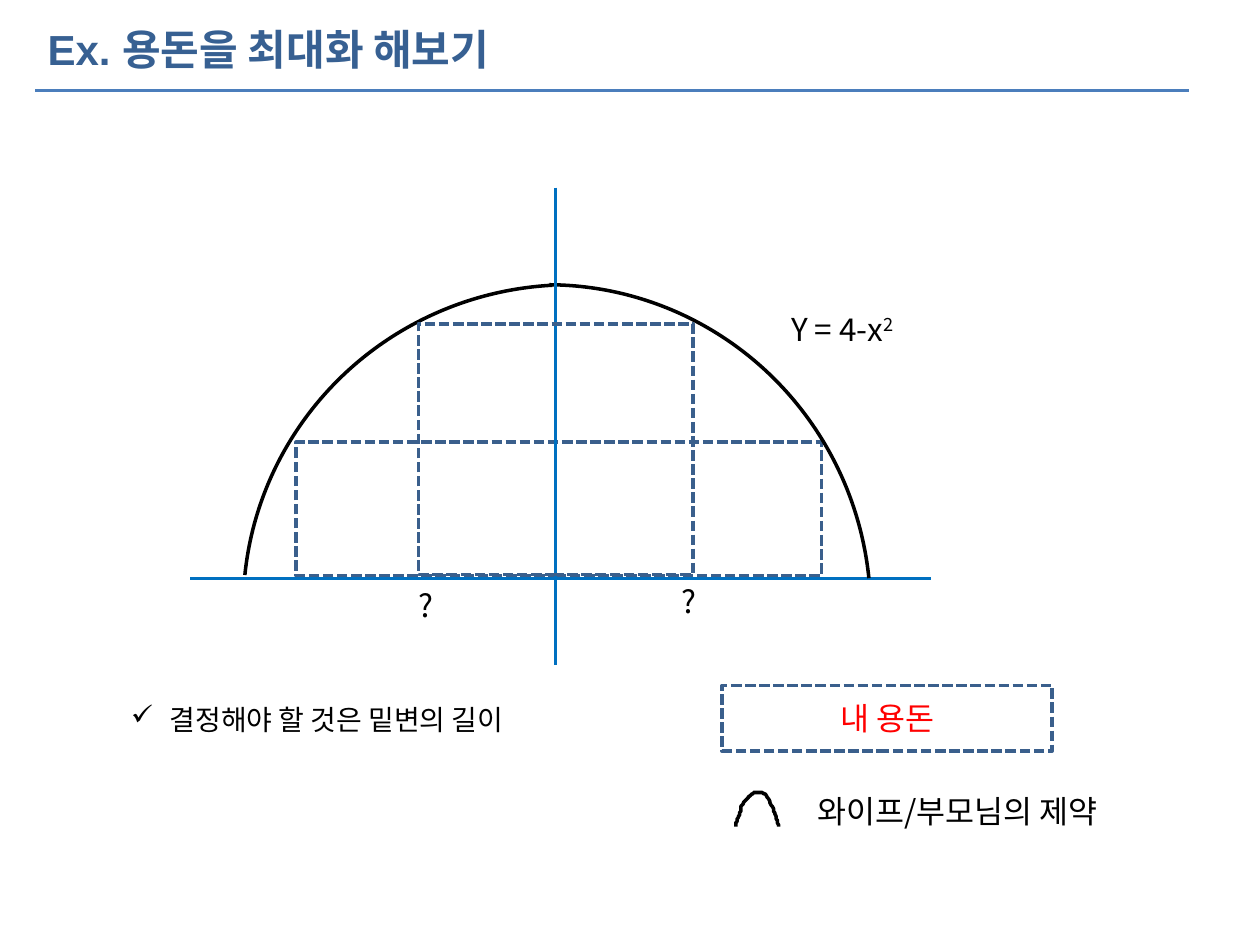
from pptx import Presentation
from pptx.dml.color import RGBColor
from pptx.enum.dml import MSO_LINE
from pptx.enum.shapes import MSO_CONNECTOR, MSO_SHAPE
from pptx.enum.text import MSO_ANCHOR, MSO_AUTO_SIZE, PP_ALIGN
from pptx.oxml.ns import qn
from pptx.util import Pt
from lxml import etree

PX = 9144
DASH = MSO_LINE.SQUARE_DOT
LINE = MSO_CONNECTOR.STRAIGHT
RECT, ARC = MSO_SHAPE.RECTANGLE, MSO_SHAPE.ARC
MID, CENTER = MSO_ANCHOR.MIDDLE, PP_ALIGN.CENTER
GROW = MSO_AUTO_SIZE.SHAPE_TO_FIT_TEXT
HEX = {"title": "376092", "rule": "4B7EBC", "dash": "3A5F8C",
       "axis": "0070C0", "ink": "000000", "red": "FF0000"}
SANS = "Noto Sans CJK KR"

RULE = (28, 72, 944, 72)
AXES = [(151, 459, 739, 459), (441, 149, 441, 528)]
WIDE, TALL = (235, 351, 417, 106), (332, 257, 218, 199)
LEGEND = (573, 544, 262, 52)
ARCS = [((178, 226, 513, 519), 0, (162.209, 212.424)),
        ((196, 223, 513, 519), 272.8, (163.791, 212.424))]
BUMP = [(584, 656), (584, 653), (585, 650), (586, 648), (587, 645),
        (588, 642), (589, 639), (591, 637), (591, 635), (593, 634),
        (594, 632), (596, 631), (597, 630), (599, 629), (599, 629),
        (601, 629), (602, 629), (605, 629), (607, 630), (609, 632),
        (611, 636), (612, 639), (614, 642), (615, 645), (616, 648),
        (617, 651), (618, 656), (618, 656)]
TITLE = ("Ex. 용돈을 최대화 해보기", (28, 16, 900, 46),
         {"size": Pt(24), "bold": True, "name": "Arial"}, "title")
BODY, SMALL = {"size": Pt(18), "name": SANS}, {"size": Pt(16), "name": SANS}
GOAL = "내 용돈"
LIMIT = ("와이프/부모님의 제약", (639, 624, 288, 40))
POINT = ("결정해야 할 것은 밑변의 길이", (94, 553, 402, 37))
CURVE = ("Y = 4-x", "2", (618, 241, 128, 40))
MARKS = [(322, 460, 32, 40), (531, 457, 32, 40)]

deck = Presentation()
deck.slide_width, deck.slide_height = 1000 * PX, 750 * PX
slide = deck.slides.add_slide(deck.slide_layouts[6])
shapes = slide.shapes


def emu(box):
    return [v * PX for v in box]


def tint(name):
    return RGBColor.from_string(HEX[name])


def style(line, color, width=2):
    line.color.rgb = tint(color)
    line.width = Pt(width)


def rule(ends, color, width=2):
    item = shapes.add_connector(LINE, *emu(ends))
    style(item.line, color, width)
    etree.SubElement(item._element.spPr, qn("a:effectLst"))


def bare(item, color):
    item.shadow.inherit = False
    item.fill.background()
    style(item.line, color)
    return item


def dashed(box):
    item = bare(shapes.add_shape(RECT, *emu(box)), "dash")
    item.line.dash_style = DASH
    return item


def write(para, text, fmt, color="ink"):
    run = para.add_run()
    run.text = text
    for key, value in fmt.items():
        setattr(run.font, key, value)
    run.font.color.rgb = tint(color)
    props = run._r.get_or_add_rPr()
    etree.SubElement(props, qn("a:ea"), typeface=SANS)
    return props


def label(text, box, fmt=BODY, color="ink", **frame):
    item = shapes.add_textbox(*emu(box))
    for key, value in {"word_wrap": True, "auto_size": GROW, **frame}.items():
        setattr(item.text_frame, key, value)
    para = item.text_frame.paragraphs[0]
    write(para, text, fmt, color)
    return para


def cubic(a, b, c, d, t):
    s = 1 - t
    return tuple(s**3 * p + 3 * s * s * t * q + 3 * s * t * t * r + t**3 * u
                 for p, q, r, u in zip(a, b, c, d))


rule(RULE, "rule", 1.5)
label(*TITLE, auto_size=MSO_AUTO_SIZE.NONE, vertical_anchor=MID)
dashed(WIDE)
rule(AXES[0], "axis")
for box, turn, angles in ARCS:
    arc = bare(shapes.add_shape(ARC, *emu(box)), "ink")
    arc.rotation = turn
    for i, angle in enumerate(angles):
        arc.adjustments[i] = angle

base, power, box = CURVE
para = label(base, box)
write(para, power, BODY).set("baseline", "30000")

goal = dashed(LEGEND).text_frame
goal.vertical_anchor = MID
goal.paragraphs[0].alignment = CENTER
write(goal.paragraphs[0], GOAL, BODY, "red")
rule(AXES[1], "axis")

dots = [cubic(*BUMP[i:i + 4], k / 6)
        for i in range(0, len(BUMP) - 1, 3) for k in range(1, 7)]
pen = shapes.build_freeform(*BUMP[0], scale=PX)
pen.add_line_segments(dots, close=False)
bare(pen.convert_to_shape(), "ink")

label(*LIMIT)
props = label(*POINT, SMALL)._p.get_or_add_pPr()
props.set("marL", str(31 * PX))
props.set("indent", str(-31 * PX))
etree.SubElement(props, qn("a:buFont"), typeface="Wingdings")
etree.SubElement(props, qn("a:buChar"), char="ü")
for box in MARKS:
    label("?", box, word_wrap=False)
dashed(TALL)

deck.save("out.pptx")
